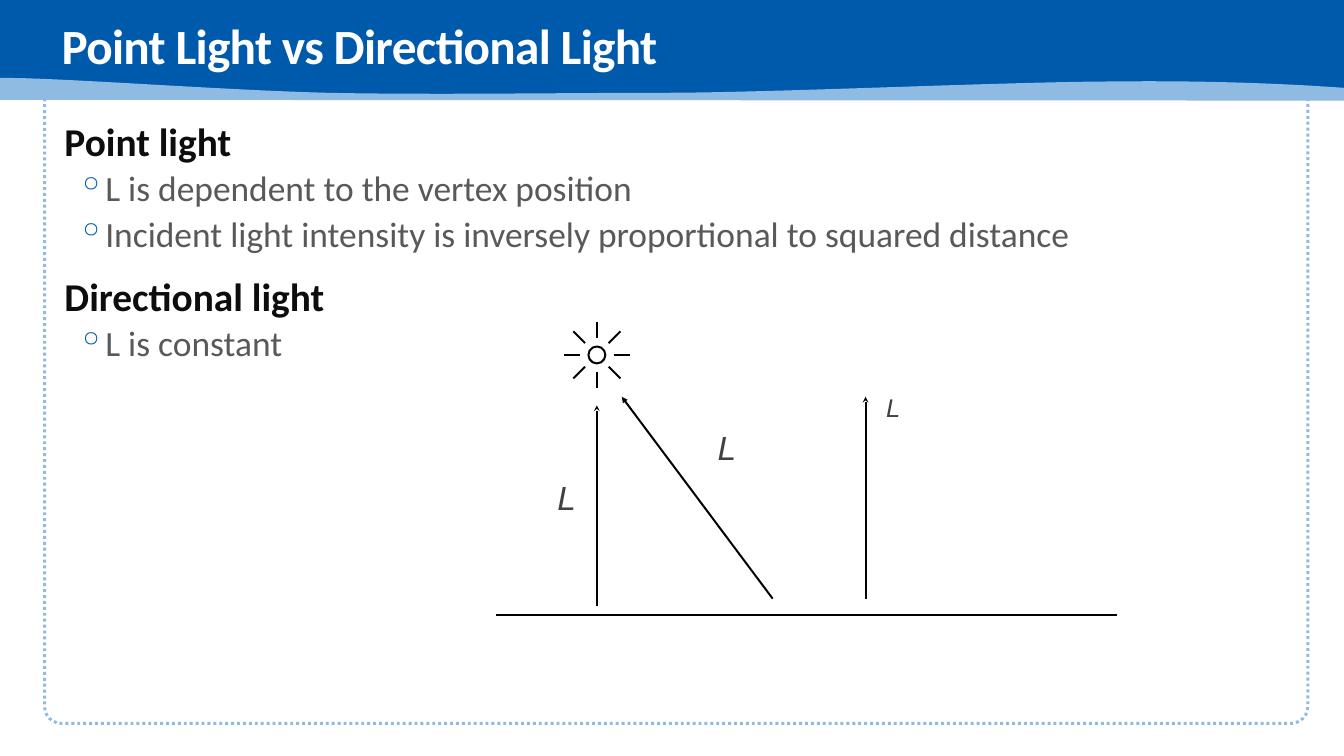
import math

import lxml.etree
import pptx
import pptx.dml.color
import pptx.enum.dml
import pptx.enum.shapes
import pptx.enum.text
import pptx.oxml
import pptx.oxml.ns
import pptx.util

THEME = {
    "blue": "005AAB", "pale": "8FBAE1", "white": "FFFFFF", "heading": "0D0D0D",
    "text": "595959", "label": "414141", "ink": "000000",
    "title_pt": 50, "heading_pt": 40, "text_pt": 36, "label_pt": 34, "small_pt": 26,
    "font": "Calibri", "label_font": "Arial", "line_pt": 2,
}
rgb = {k: pptx.dml.color.RGBColor.from_string(v) for k, v in THEME.items()
       if k in ("blue", "pale", "white", "heading", "text", "label", "ink")}
Pt = pptx.util.Pt
qn = pptx.oxml.ns.qn
MSO = pptx.enum.shapes.MSO_SHAPE
MIDDLE = pptx.enum.text.MSO_ANCHOR.MIDDLE

prs = pptx.Presentation()
prs.slide_width = pptx.util.Inches(18.96)
prs.slide_height = pptx.util.Inches(10.67)
col, row = prs.slide_width / 100, prs.slide_height / 100
s = prs.slides.add_slide(prs.slide_layouts[6])


def box(x, y, w, h):
    return round(x * col), round(y * row), round(w * col), round(h * row)


def line(x1, y1, x2, y2, head=None):
    c = s.shapes.add_connector(pptx.enum.shapes.MSO_CONNECTOR.STRAIGHT,
                               *box(x1, y1, x2, y2))
    c.line.color.rgb = rgb["ink"]
    c.line.width = Pt(THEME["line_pt"])
    if head:
        lxml.etree.SubElement(c.line._get_or_add_ln(), qn("a:tailEnd"), type=head)
    lxml.etree.SubElement(c._element.spPr, qn("a:effectLst"))


frame = s.shapes.add_shape(MSO.ROUNDED_RECTANGLE, *box(3.32, 2.72, 93.99, 92.97))
frame.adjustments[0] = 0.024
frame.shadow.inherit = False
frame.fill.background()
frame.line.color.rgb = rgb["pale"]
frame.line.width = Pt(3)
frame.line.dash_style = pptx.enum.dml.MSO_LINE.ROUND_DOT

banner = s.shapes.add_shape(MSO.RECTANGLE, *box(0, 0, 100, 13.12))

crest = [(100, 11.62), (97.1, 11.25), (90.93, 10.59), (82.44, 10.78), (74, 10.87),
         (57.33, 12.28), (49.1, 12.28), (40.88, 12.28), (32.59, 12.56),
         (24.37, 12.28), (16.19, 11.9), (4.11, 10.22), (0, 10.31)]
steps = 16
outline = [(100, 13.31), crest[0]]
for i in range(0, len(crest) - 1, 3):
    for t in (n / steps for n in range(1, steps + 1)):
        weights = ((1 - t) ** 3, 3 * t * (1 - t) ** 2, 3 * t * t * (1 - t), t ** 3)
        outline.append([sum(w * pt[axis] for w, pt in zip(weights, crest[i:i + 4]))
                        for axis in (0, 1)])
builder = s.shapes.build_freeform(0, round(13.21 * row))
builder.add_line_segments([(round(x * col), round(y * row)) for x, y in outline])
wave = builder.convert_to_shape()

for sp, color in ((banner, "blue"), (wave, "pale")):
    sp.shadow.inherit = False
    sp.fill.solid()
    sp.fill.fore_color.rgb = rgb[color]
    sp.line.fill.background()

title = s.shapes.add_textbox(*box(4.06, 1.31, 92.51, 10.4))
tf = title.text_frame
tf.word_wrap = True
tf.vertical_anchor = MIDDLE
p = tf.paragraphs[0]
p.text = "Point Light vs Directional Light"
p.line_spacing = 0.85
r = p.runs[0]
r.font.name, r.font.size, r.font.bold = THEME["font"], Pt(THEME["title_pt"]), True
r.font.color.rgb = rgb["white"]
r.font._element.set("spc", "-70")

body = s.shapes.add_textbox(*box(4.06, 15.75, 92.51, 79.94))
tf = body.text_frame
tf.word_wrap = True
tf.margin_left = tf.margin_right = 0
points = [
    (0, "Point light"),
    (1, "L is dependent to the vertex position"),
    (1, "Incident light intensity is inversely proportional to squared distance"),
    (0, "Directional light"),
    (1, "L is constant"),
]
for i, (level, text) in enumerate(points):
    p = tf.add_paragraph() if i else tf.paragraphs[0]
    p.text = text
    pPr = p._p.get_or_add_pPr()
    if level:
        p.level = level
        pPr.set("marL", str(round(3.16 * col)))
        pPr.set("indent", str(round(-1.48 * col)))
        tint = lxml.etree.SubElement(pPr, qn("a:buClr"))
        lxml.etree.SubElement(tint, qn("a:srgbClr"), val=THEME["blue"])
        lxml.etree.SubElement(pPr, qn("a:buChar"), char="◦")
    else:
        pPr.set("marL", str(round(0.74 * col)))
        pPr.set("indent", "0")
        lxml.etree.SubElement(pPr, qn("a:buNone"))
    kind = "text" if level else "heading"
    p.line_spacing = 0.9
    p.space_before = Pt((2.8 if level else 17.1) if i else 0)
    p.space_after = Pt(5.7 if level else 2.8)
    r = p.runs[0]
    r.font.name, r.font.size = THEME["font"], Pt(THEME[kind + "_pt"])
    r.font.bold = not level
    r.font.color.rgb = rgb[kind]

line(36.87, 81.35, 83.12, 81.35)

sun_x, sun_y, radius = 44.41, 46.95, 0.63
aspect = col / row
sun = s.shapes.add_shape(MSO.OVAL, *box(sun_x - radius, sun_y - radius * aspect,
                                       2 * radius, 2 * radius * aspect))
sun.shadow.inherit = False
sun.fill.background()
sun.line.color.rgb = rgb["ink"]
sun.line.width = Pt(THEME["line_pt"])
for k in range(8):
    dx, dy = math.cos(k * math.pi / 4), math.sin(k * math.pi / 4) * aspect
    line(sun_x + 1.24 * dx, sun_y + 1.24 * dy, sun_x + 2.48 * dx, sun_y + 2.48 * dy)

line(sun_x, 80.22, sun_x, 53.61, "stealth")
line(57.49, 79.19, 46.26, 52.48, "triangle")
line(64.4, 79.19, 64.4, 52.48, "stealth")

labels = [
    (40.61, 62.61, 3.11, 6.37, "label_pt"),
    (52.53, 55.95, 3.11, 6.37, "label_pt"),
    (65.61, 51.36, 1.69, 5.15, "small_pt"),
]
for x, y, w, h, size in labels:
    tf = s.shapes.add_textbox(*box(x, y, w, h)).text_frame
    tf.word_wrap = size == "label_pt"
    tf.vertical_anchor = MIDDLE
    tf.margin_left = tf.margin_right = round(0.32 * col)
    tf.margin_top = tf.margin_bottom = round(0.56 * row)
    p = tf.paragraphs[0]
    p.text = "L"
    p.alignment = pptx.enum.text.PP_ALIGN.CENTER
    r = p.runs[0]
    r.font.name, r.font.size = THEME["label_font"], Pt(THEME[size])
    r.font.italic = True
    r.font.color.rgb = rgb["label"]

prs.save("out.pptx")
